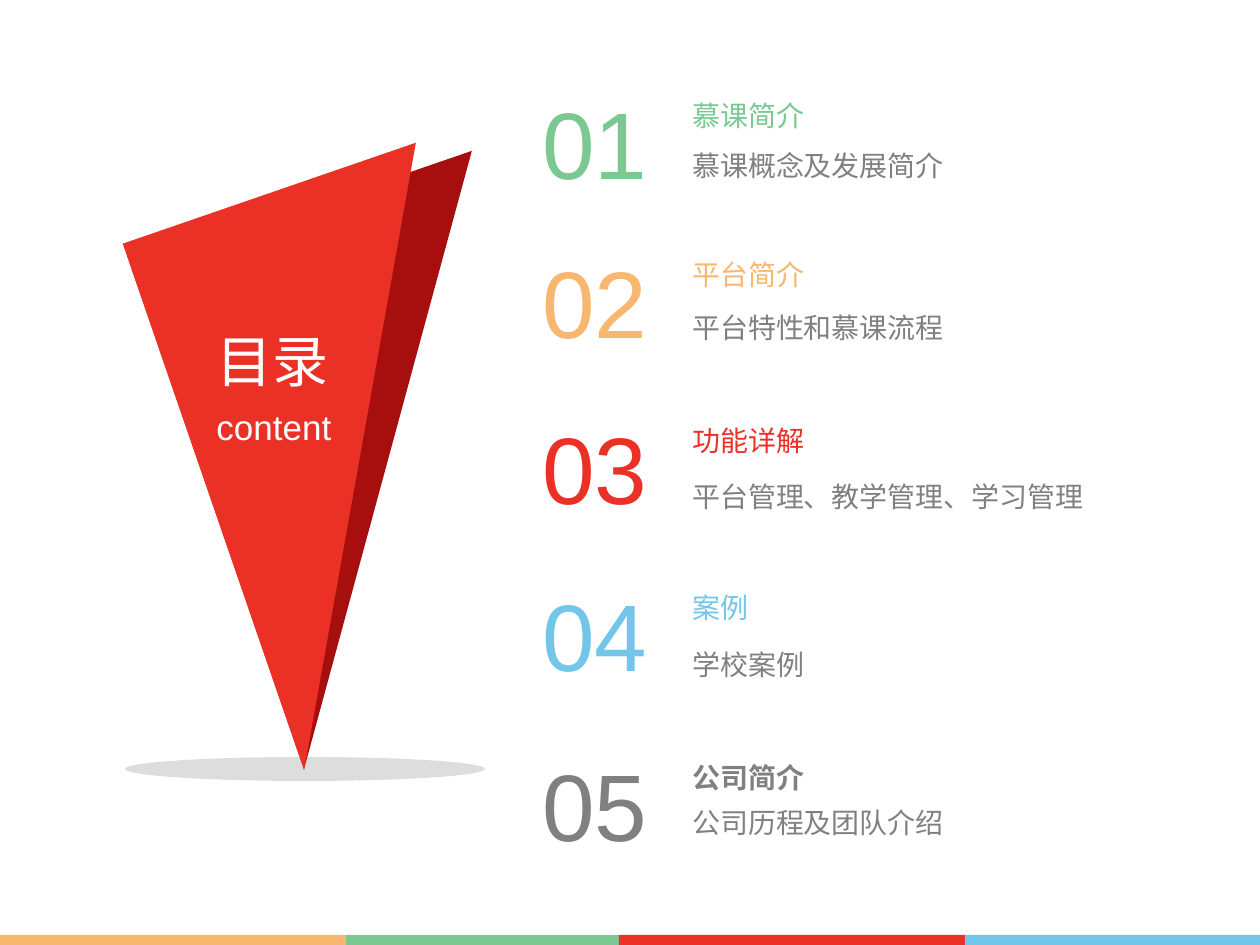
from itertools import pairwise

from lxml.etree import SubElement
from pptx import Presentation
from pptx.dml.color import RGBColor
from pptx.enum.shapes import MSO_SHAPE
from pptx.oxml.ns import qn
from pptx.util import Emu, Pt

SCALE = 914400 // 126
WIDTH, HEIGHT = 1260, 945
LATIN_FONT = "Arial"
CHINESE_FONT = "Noto Sans CJK SC"
COLORS = {
    "orange": "F7B76F",
    "green": "7BC893",
    "red": "EB3025",
    "dark_red": "A70F0F",
    "blue": "73C6E9",
    "gray": "808080",
    "shadow": "DDDDDD",
    "white": "FFFFFF",
}
ENTRIES = [
    (79, 63, "green", "慕课简介", "慕课概念及发展简介"),
    (238, 66, "orange", "平台简介", "平台特性和慕课流程"),
    (404, 69, "red", "功能详解", "平台管理、教学管理、学习管理"),
    (571, 70, "blue", "案例", "学校案例"),
    (741, 58, "gray", "公司简介", "公司历程及团队介绍"),
]


def pixels(*lengths):
    return [Emu(length * SCALE) for length in lengths]


def add_filled_shape(slide, kind, box, color, rotation=0, mirrored=False):
    shape = slide.shapes.add_shape(kind, *pixels(*box))
    shape.shadow.inherit = False
    shape.fill.solid()
    shape.fill.fore_color.rgb = RGBColor.from_string(COLORS[color])
    shape.line.fill.background()
    shape.rotation = rotation
    if mirrored:
        shape.element.spPr.xfrm.set("flipH", "1")
    return shape


def add_text(slide, box, text, *, size, color, font=LATIN_FONT, bold=False):
    shape = slide.shapes.add_textbox(*pixels(*box))
    shape.text_frame.word_wrap = True
    run = shape.text_frame.paragraphs[0].add_run()
    run.text = text
    run.font.name = font
    run.font.size = Pt(size)
    run.font.bold = bold
    run.font.color.rgb = RGBColor.from_string(COLORS[color])
    SubElement(run.font._element, qn("a:ea")).set("typeface", CHINESE_FONT)
    return shape


def add_footer(slide, top, height):
    edges = pairwise([0, 346, 619, 965, WIDTH])
    for (left, right), color in zip(edges, ["orange", "green", "red", "blue"]):
        box = (left, top, right - left, height)
        add_filled_shape(slide, MSO_SHAPE.RECTANGLE, box, color)


def add_heading(slide, left, top):
    add_filled_shape(slide, MSO_SHAPE.OVAL, (left + 2, top + 615, 360, 24), "shadow")
    triangles = [
        ((left + 85, top + 53, 360, 530), "dark_red"),
        ((left + 82, top + 36, 310, 557), "red"),
    ]
    for box, color in triangles:
        add_filled_shape(slide, MSO_SHAPE.RIGHT_TRIANGLE, box, color,
                         rotation=161, mirrored=True)
    add_text(slide, (left + 81, top + 178, 145, 79), "目录", size=32, color="white")
    add_text(slide, (left + 81, top + 257, 145, 54), "content", size=20, color="white")


def add_entry(slide, left, top, number, detail_offset, color, title, detail):
    text_left = left + 150
    add_text(slide, (left, top, 150, 127), f"{number:02}", size=54, color=color)
    add_text(slide, (text_left, top + 13, 321, 50), title, size=16, color=color,
             font=CHINESE_FONT, bold=color == "gray")
    add_text(slide, (text_left, top + detail_offset, 559, 127), detail, size=16,
             color="gray", font=CHINESE_FONT)


def build_contents(slide):
    add_footer(slide, 935, 10)
    add_heading(slide, 123, 142)
    for number, (top, *entry) in enumerate(ENTRIES, start=1):
        add_entry(slide, 530, top, number, *entry)


presentation = Presentation()
presentation.slide_width, presentation.slide_height = pixels(WIDTH, HEIGHT)
build_contents(presentation.slides.add_slide(presentation.slide_layouts[6]))
presentation.save("out.pptx")
